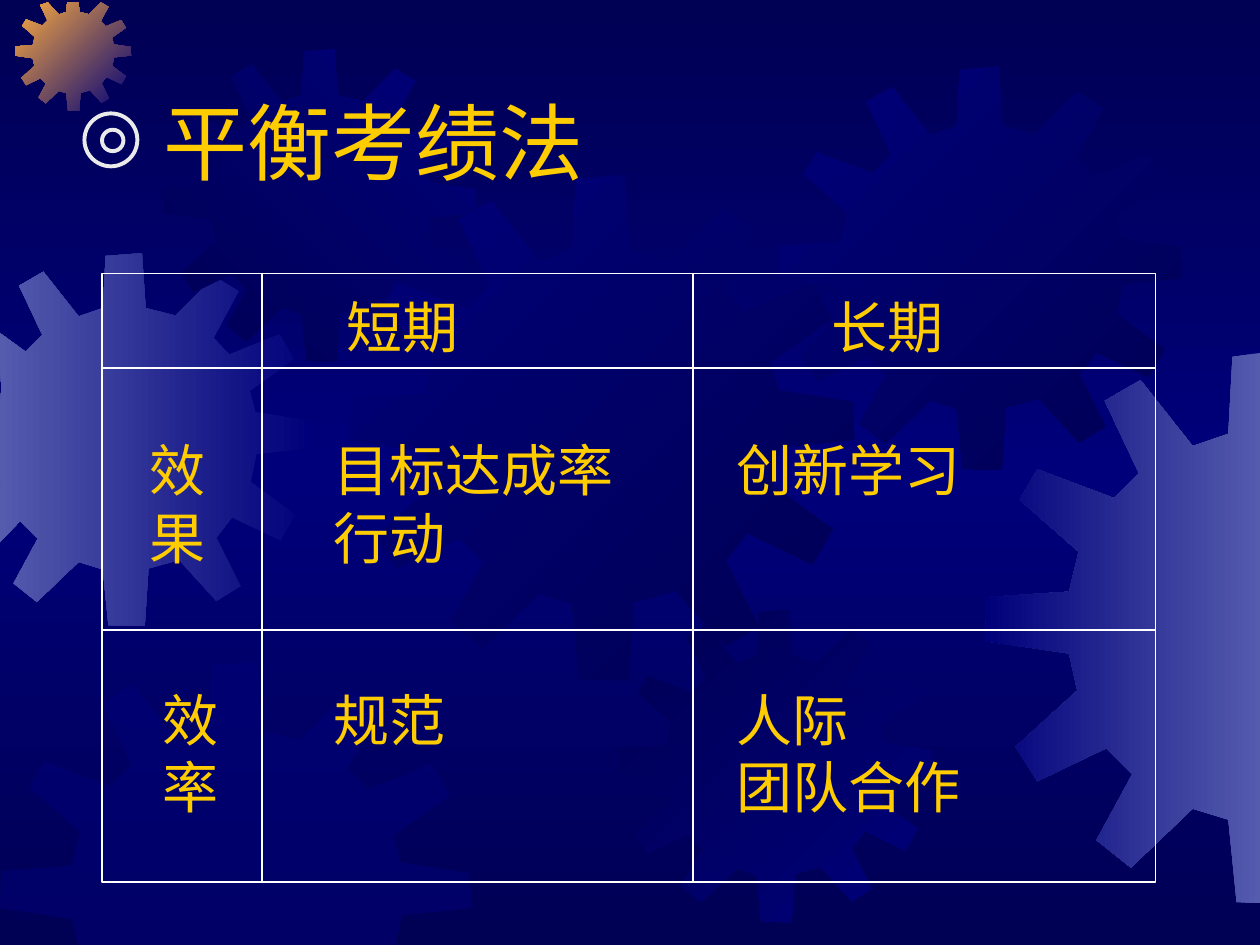
from copy import deepcopy
from pptx import Presentation
from pptx.dml.color import RGBColor
from pptx.enum.shapes import MSO_CONNECTOR, MSO_SHAPE
from pptx.enum.text import MSO_AUTO_SIZE
from pptx.oxml.ns import qn
from pptx.util import Inches, Pt
from lxml import etree

NAVY = RGBColor(0x00, 0x00, 0x54)
BLUE = RGBColor(0x00, 0x00, 0x7A)
LILAC = RGBColor(0x55, 0x5B, 0xAD)
ORANGE = RGBColor(0xFC, 0xAB, 0x40)
YELLOW = RGBColor(0xFF, 0xCC, 0x00)
SILVER = RGBColor(0xEA, 0xEA, 0xEA)
WHITE = RGBColor(0xFF, 0xFF, 0xFF)

GEAR_SIZE = 4.01
GEAR = [
    (2.55, 0.67), (2.23, 0.59), (2.19, 0), (1.8, 0.03), (1.77, 0.59), (1.51, 0.68),
    (1.13, 0.2), (0.87, 0.35), (1.12, 0.88), (0.94, 1.06), (0.38, 0.85), (0.25, 1.07),
    (0.68, 1.45), (0.61, 1.74), (0.01, 1.78), (0, 2.1), (0.61, 2.19), (0.67, 2.46),
    (0.22, 2.87), (0.38, 3.12), (0.88, 2.88), (1.07, 3.07), (0.81, 3.55), (1.06, 3.75),
    (1.51, 3.32), (1.77, 3.4), (1.83, 4), (2.22, 4.01), (2.26, 3.39), (2.59, 3.3),
    (2.99, 3.74), (3.25, 3.58), (2.99, 3.06), (3.16, 2.84), (3.68, 3.09), (3.84, 2.81),
    (3.36, 2.46), (3.42, 2.16), (4.01, 2.1), (4, 1.8), (3.41, 1.71), (3.35, 1.48),
    (3.83, 1.14), (3.67, 0.87), (3.13, 1.09), (2.96, 0.91), (3.23, 0.41), (2.97, 0.25),
]


def set_gradient(fill, start, end, angle):
    fill.gradient()
    fill.gradient_angle = 360 - angle
    for stop, color in zip(fill.gradient_stops, (start, end)):
        stop.color.rgb = color


def add_text(left, top, width, height, lines, size, wrap=False):
    tb = s.shapes.add_textbox(Inches(left), Inches(top), Inches(width), Inches(height))
    tf = tb.text_frame
    tf.word_wrap = wrap
    tf.auto_size = MSO_AUTO_SIZE.SHAPE_TO_FIT_TEXT
    for i, line in enumerate(lines):
        p = tf.add_paragraph() if i else tf.paragraphs[0]
        r = p.add_run()
        r.text = line
        r.font.size = Pt(size)
        r.font.name = "Times New Roman"
        r.font.color.rgb = YELLOW


prs = Presentation()
prs.slide_width, prs.slide_height = Inches(10), Inches(7.5)
s = prs.slides.add_slide(prs.slide_layouts[6])

set_gradient(s.background.fill, NAVY, NAVY, 90)
stops = s.element.find(".//" + qn("a:gsLst"))
middle = deepcopy(stops[0])
middle.set("pos", "50000")
middle[0].set("val", str(BLUE))
stops.insert(1, middle)

gears = [
    (-0.49, 2.01, 2.96, BLUE, LILAC, 180),
    (0.12, -0.04, 0.92, BLUE, ORANGE, 225),
    (1.3, 0.39, 2.48, BLUE, NAVY, 135),
    (2.77, 1.39, 4.01, NAVY, BLUE, 225),
    (0, 5.25, 3.74, BLUE, None, 0),
    (4.91, 4.84, 2.48, BLUE, NAVY, 225),
    (6.18, 0.53, 3.2, NAVY, BLUE, 225),
    (7.82, 2.8, 4.37, LILAC, BLUE, 180),
]
for left, top, size, start, end, angle in gears:
    k = size / GEAR_SIZE
    points = [
        (Inches(min(max(left + x * k, -0.01), 10.01)), Inches(min(max(top + y * k, 0.02), 7.54)))
        for x, y in GEAR
    ]
    fb = s.shapes.build_freeform(*points[0])
    fb.add_line_segments(points[1:], close=True)
    sp = fb.convert_to_shape()
    sp.shadow.inherit = False
    sp.line.fill.background()
    if end is not None:
        set_gradient(sp.fill, start, end, angle)
    else:
        sp.fill.solid()
        sp.fill.fore_color.rgb = start
        color = sp.element.spPr.find(qn("a:solidFill"))[0]
        etree.SubElement(color, qn("a:alpha")).set("val", "50000")

add_text(1.2, 0.67, 5.97, 0.9, ["平衡考绩法"], 48, wrap=True)

outlines = [
    (MSO_SHAPE.OVAL, 0.67, 0.9, 0.42, 0.42, SILVER, 2.25),
    (MSO_SHAPE.OVAL, 0.81, 1.03, 0.17, 0.17, SILVER, 2.25),
    (MSO_SHAPE.RECTANGLE, 0.81, 2.17, 8.36, 4.83, WHITE, 0.75),
]
for kind, left, top, width, height, color, weight in outlines:
    sp = s.shapes.add_shape(kind, Inches(left), Inches(top), Inches(width), Inches(height))
    sp.shadow.inherit = False
    sp.fill.background()
    sp.line.color.rgb = color
    sp.line.width = Pt(weight)

rules = [(0.81, y, 9.17, y) for y in (2.92, 5)] + [(x, 2.17, x, 7) for x in (2.08, 5.5)]
for ends in rules:
    cn = s.shapes.add_connector(MSO_CONNECTOR.STRAIGHT, *map(Inches, ends))
    cn.line.color.rgb = WHITE
    cn.line.width = Pt(0.75)
    etree.SubElement(cn.element.spPr, qn("a:effectLst"))

cells = [
    (1.09, 3.41, 0.66, ["效", "果"]),
    (1.19, 5.39, 0.66, ["效", "率"]),
    (2.65, 2.27, 1.11, ["短期"]),
    (6.5, 2.27, 1.11, ["长期"]),
    (2.55, 3.41, 2.46, ["目标达成率", "行动"]),
    (5.75, 5.39, 2, ["人际", "团队合作"]),
    (2.55, 5.39, 1.11, ["规范"]),
    (5.75, 3.41, 2, ["创新学习"]),
]
for left, top, width, lines in cells:
    add_text(left, top, width, 0.11 + 0.53 * len(lines), lines, 32)

prs.save("out.pptx")
